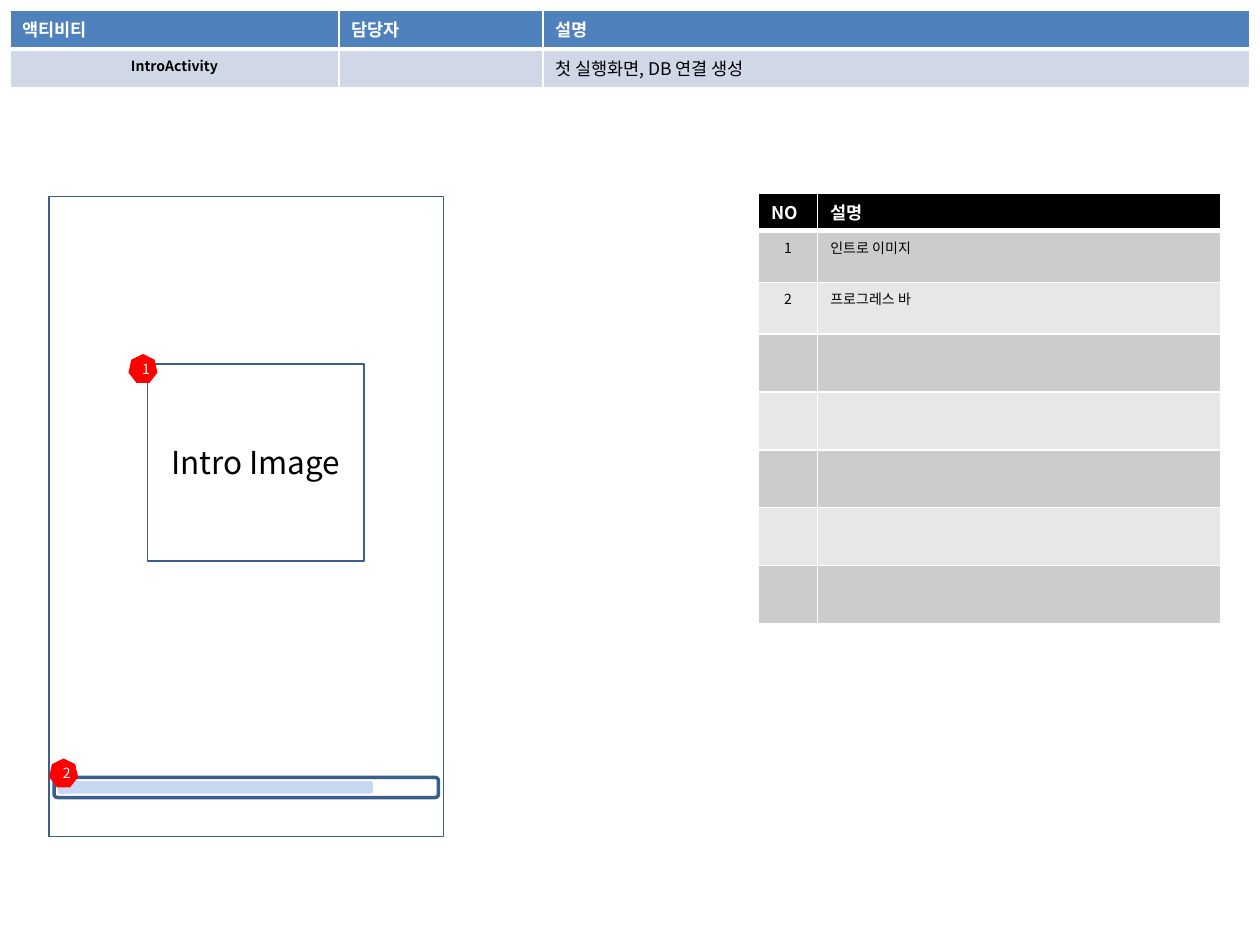
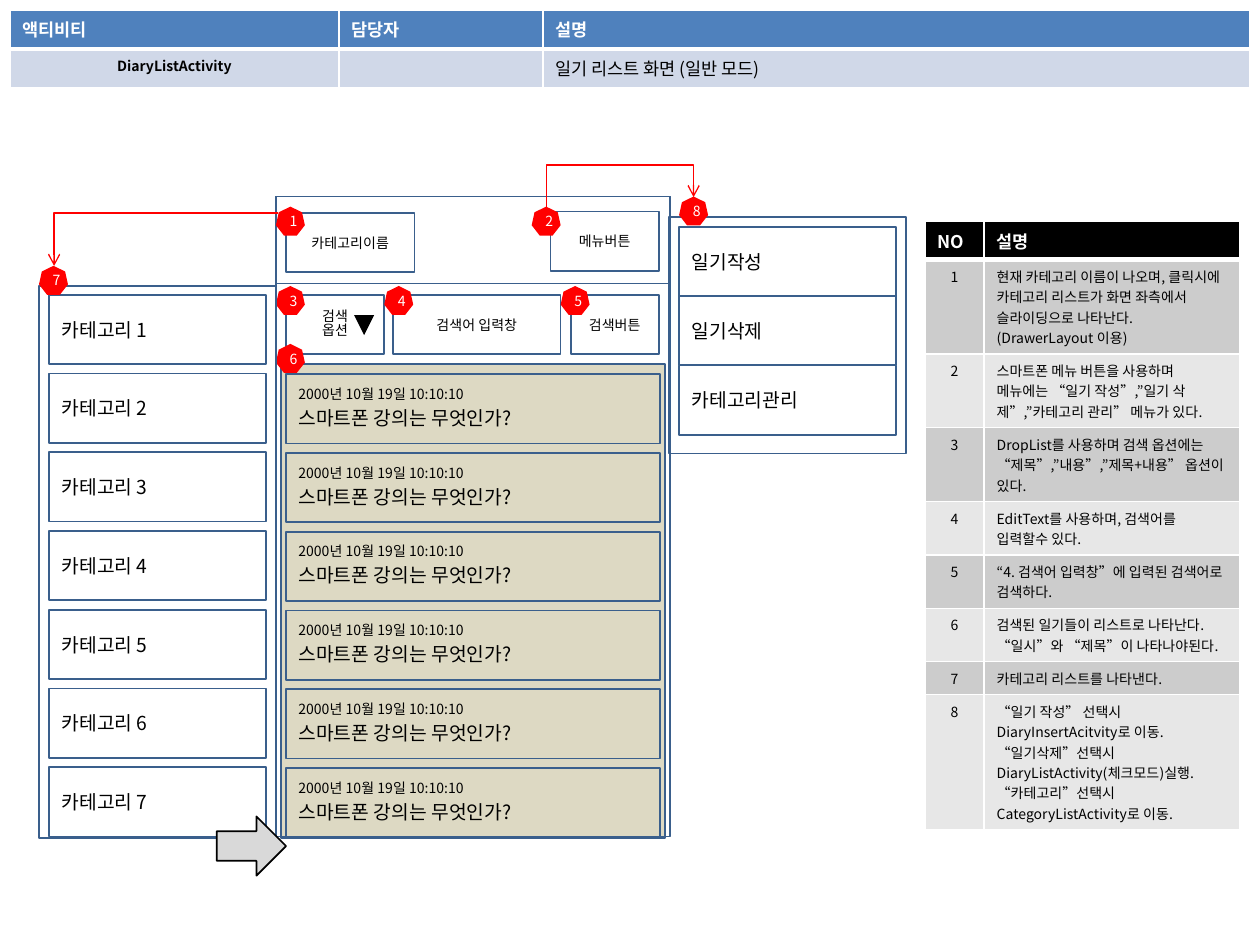
"""Build two screen-plan slides for a diary app."""
from lxml import etree
from pptx import Presentation
from pptx.dml.color import RGBColor
from pptx.enum.shapes import MSO_CONNECTOR, MSO_SHAPE
from pptx.enum.text import MSO_ANCHOR, PP_ALIGN
from pptx.oxml.ns import qn
from pptx.util import Inches, Pt

RECT = MSO_SHAPE.RECTANGLE
ROUND = MSO_SHAPE.ROUNDED_RECTANGLE
PROCESS = MSO_SHAPE.FLOWCHART_PROCESS
HEPTAGON = MSO_SHAPE.HEPTAGON
ARROW = MSO_SHAPE.RIGHT_ARROW
TRIANGLE = MSO_SHAPE.ISOSCELES_TRIANGLE
ELBOW = MSO_CONNECTOR.ELBOW
MIDDLE = MSO_ANCHOR.MIDDLE
LEFT, CENTER = PP_ALIGN.LEFT, PP_ALIGN.CENTER

WHITE = RGBColor(0xFF, 0xFF, 0xFF)
BLACK = RGBColor(0x00, 0x00, 0x00)
BLUE = RGBColor(0x4F, 0x81, 0xBD)
PALE = RGBColor(0xD0, 0xD8, 0xE8)
EDGE = RGBColor(0x3A, 0x5F, 0x8C)
SKY = RGBColor(0xC6, 0xD9, 0xF1)
RED = RGBColor(0xFF, 0x00, 0x00)
SAND = RGBColor(0xDD, 0xD9, 0xC3)
SILVER = RGBColor(0xD9, 0xD9, 0xD9)
GRAYS = RGBColor(0xCC, 0xCC, 0xCC), RGBColor(0xE7, 0xE7, 0xE7)
FONT = "Noto Sans CJK KR"


class Deck:
    """Hold the style and the current slide."""

    def __init__(self):
        self.prs = Presentation()
        self.prs.slide_width, self.prs.slide_height = Inches(10), Inches(7.5)
        self.slide = None

    def page(self, name, about):
        self.slide = self.prs.slides.add_slide(self.prs.slide_layouts[6])
        self.head = name, about

    def words(self, para, text, size, color=BLACK, bold=False, align=LEFT):
        para.alignment = align
        run = para.add_run()
        run.text = text
        font = run.font
        font.size, font.bold, font.name = Pt(size), bold, FONT
        font.color.rgb = color
        etree.SubElement(run._r.rPr, qn("a:ea")).set("typeface", FONT)

    def box(self, x, y, w, h, kind=RECT, fill=None, line=EDGE, width=1):
        shape = self.slide.shapes.add_shape(
            kind, Inches(x), Inches(y), Inches(w), Inches(h))
        shape.shadow.inherit = False
        if fill is None:
            shape.fill.background()
        else:
            shape.fill.solid()
            shape.fill.fore_color.rgb = fill
        if line is None:
            shape.line.fill.background()
        else:
            shape.line.color.rgb = line
            shape.line.width = Pt(width)
        return shape

    def label(self, shape, lines, color=BLACK, align=CENTER, gap=0):
        frame = shape.text_frame
        frame.word_wrap = True
        frame.vertical_anchor = MIDDLE
        for i, (text, size) in enumerate(lines):
            para = frame.add_paragraph() if i else frame.paragraphs[0]
            if len(lines) > 1:
                para.line_spacing = 0.8
                para.space_before = Pt(gap if i else 0)
            self.words(para, text, size, color, align=align)

    def badge(self, num, x, y):
        shape = self.box(x, y, 0.23, 0.23, HEPTAGON, RED, None)
        self.label(shape, [(str(num), 8)], WHITE)

    def cell(self, cell, text, fill, size, color, bold, align, base):
        props = cell._tc.get_or_add_tcPr()
        for side in "LRTB":
            width = base if side == "B" else 1
            edge = etree.SubElement(props, qn("a:ln" + side), w=str(Pt(width)))
            paint = etree.SubElement(edge, qn("a:solidFill"))
            etree.SubElement(paint, qn("a:srgbClr"), val=str(WHITE))
        cell.fill.solid()
        cell.fill.fore_color.rgb = fill
        frame = cell.text_frame
        for i, part in enumerate(text.split("\n")):
            para = frame.add_paragraph() if i else frame.paragraphs[0]
            if part:
                self.words(para, part, size, color, bold, align)
            else:
                para._p.get_or_add_endParaRPr().set("sz", str(size * 100))

    def grid(self, x, y, cols, rows):
        frame = self.slide.shapes.add_table(
            len(rows), len(cols), Inches(x), Inches(y),
            Inches(sum(cols)), Inches(sum(rows)))
        table = frame.table
        for col, width in zip(table.columns, cols):
            col.width = Inches(width)
        for row, height in zip(table.rows, rows):
            row.height = Inches(height)
        return table

    def top(self):
        table = self.grid(0.08, 0.08, [2.61, 1.62, 5.61], [0.31, 0.31])
        name, about = self.head
        for i, text in enumerate(["액티비티", "담당자", "설명"]):
            self.cell(table.cell(0, i), text, BLUE, 10, WHITE, True, LEFT, 3)
        for i, text in enumerate([name, "", about]):
            first = i == 0
            self.cell(table.cell(1, i), text, PALE, 8 if first else 10,
                      BLACK, first, CENTER if first else LEFT, 1)

    def notes(self, x, y, width, rows, texts):
        table = self.grid(x, y, [0.47, width], rows)
        for i, text in enumerate(["NO", "설명"]):
            self.cell(table.cell(0, i), text, BLACK, 10, WHITE, True, LEFT, 3)
        for i, text in enumerate(texts, 1):
            fill = GRAYS[(i - 1) % 2]
            num = str(i) if text else ""
            self.cell(table.cell(i, 0), num, fill, 8, BLACK, False, CENTER, 1)
            self.cell(table.cell(i, 1), text, fill, 8, BLACK, False, LEFT, 1)

    def bend(self, x, y, w, h, form, adj=None, **turn):
        link = self.slide.shapes.add_connector(
            ELBOW, Inches(x), Inches(y), Inches(x + w), Inches(y + h))
        link.line.color.rgb = RED
        link.line.width = Pt(0.75)
        etree.SubElement(link.line._get_or_add_ln(), qn("a:tailEnd"), type="arrow")
        props = link._element.spPr
        etree.SubElement(props, qn("a:effectLst"))
        for key, value in turn.items():
            props.find(qn("a:xfrm")).set(key, value)
        geom = props.find(qn("a:prstGeom"))
        geom.set("prst", form)
        if adj:
            guide = etree.SubElement(geom.find(qn("a:avLst")), qn("a:gd"))
            guide.set("name", "adj1")
            guide.set("fmla", f"val {adj}")


def intro(deck):
    deck.page("IntroActivity", "첫 실행화면, DB 연결 생성")
    deck.top()
    deck.box(0.39, 1.56, 3.13, 5.08)
    deck.box(0.43, 6.17, 3.05, 0.16, ROUND, width=2)
    deck.box(0.46, 6.2, 2.5, 0.1, ROUND, SKY, None)
    deck.label(deck.box(1.17, 2.89, 1.72, 1.56, PROCESS), [("Intro Image", 18)])
    deck.badge(1, 1.02, 2.81)
    deck.badge(2, 0.39, 6.02)
    deck.notes(6.02, 1.53, 3.2, [0.27] + [0.41] * 2 + [0.46] * 5,
               ["인트로 이미지", "프로그레스 바"] + [""] * 5)


def diary(deck):
    deck.page("DiaryListActivity", "일기 리스트 화면 (일반 모드)")
    deck.box(2.23, 2.89, 3.05, 3.76, fill=SAND)
    deck.top()
    deck.box(2.19, 1.56, 3.13, 5.08)
    deck.notes(7.34, 1.76, 2.03, [0.27] + [0.41] * 6 + [0.2] * 2, [
        "현재 카테고리 이름이 나오며, 클릭시에 카테고리 리스트가 화면 "
        "좌측에서 슬라이딩으로 나타난다. (DrawerLayout 이용)",
        "스마트폰 메뉴 버튼을 사용하며 메뉴에는 “일기 작성”,”일기 삭제”,"
        "”카테고리 관리” 메뉴가 있다.",
        "DropList를 사용하며 검색 옵션에는 “제목”,”내용”,”제목+내용” 옵션이 있다.",
        "EditText를 사용하며, 검색어를 입력할수 있다.",
        "“4. 검색어 입력창”에 입력된 검색어로 검색하다.",
        "검색된 일기들이 리스트로 나타난다.\n“일시”와 “제목”이 나타나야된다.",
        "카테고리 리스트를 나타낸다.",
        "“일기 작성” 선택시 DiaryInsertAcitvity로 이동.\n"
        "“일기삭제”선택시 DiaryListActivity(체크모드)실행.\n"
        "“카테고리”선택시 CategoryListActivity로 이동."])
    deck.box(2.19, 1.56, 3.13, 0.69)
    for x, y, w, text in [
            (2.27, 1.69, 1.02, "카테고리이름"), (4.37, 1.68, 0.86, "메뉴버튼"),
            (3.12, 2.34, 1.33, "검색어 입력창"), (4.53, 2.34, 0.7, "검색버튼")]:
        deck.label(deck.box(x, y, w, 0.47), [(text, 8)])
    step = 3.75 / 6
    for i in range(6):
        deck.label(deck.box(2.27, 2.97 + i * step, 2.97, 0.55),
                   [("2000년 10월 19일 10:10:10", 8),
                    ("스마트폰 강의는 무엇인가?", 11)], align=LEFT, gap=5)
    deck.label(deck.box(2.27, 2.34, 0.78, 0.47), [("검색", 8), ("옵션", 8)])
    spots = [(2.19, 1.64), (4.22, 1.64), (2.19, 2.27),
             (3.05, 2.27), (4.45, 2.27), (2.19, 2.73)]
    for num, (x, y) in enumerate(spots, 1):
        deck.badge(num, x, y)
    deck.box(0.31, 2.27, 1.88, 4.38)
    for i in range(7):
        deck.label(deck.box(0.39, 2.34 + i * step, 1.72, 0.55),
                   [(f"카테고리 {i + 1}", 11)], align=LEFT)
    deck.box(1.72, 6.48, 0.55, 0.47, ARROW, SILVER, BLACK)
    deck.badge(7, 0.31, 2.11)
    deck.box(5.31, 1.72, 1.88, 1.88)
    for i, text in enumerate(["일기작성", "일기삭제", "카테고리관리"]):
        deck.label(deck.box(5.39, 1.8 + i * 0.55, 1.72, 0.55),
                   [(text, 11)], align=LEFT)
    deck.badge(8, 5.39, 1.56)
    deck.box(2.81, 2.5, 0.16, 0.16, TRIANGLE, BLACK, None).rotation = 180
    deck.bend(0.43, 1.69, 1.78, 0.42, "bentConnector2", flipH="1")
    deck.bend(4.88, 1.02, 0.08, 1.17, "bentConnector3", 420000,
              rot="5400000", flipH="1", flipV="1")


deck = Deck()
intro(deck)
diary(deck)
deck.prs.save("out.pptx")
